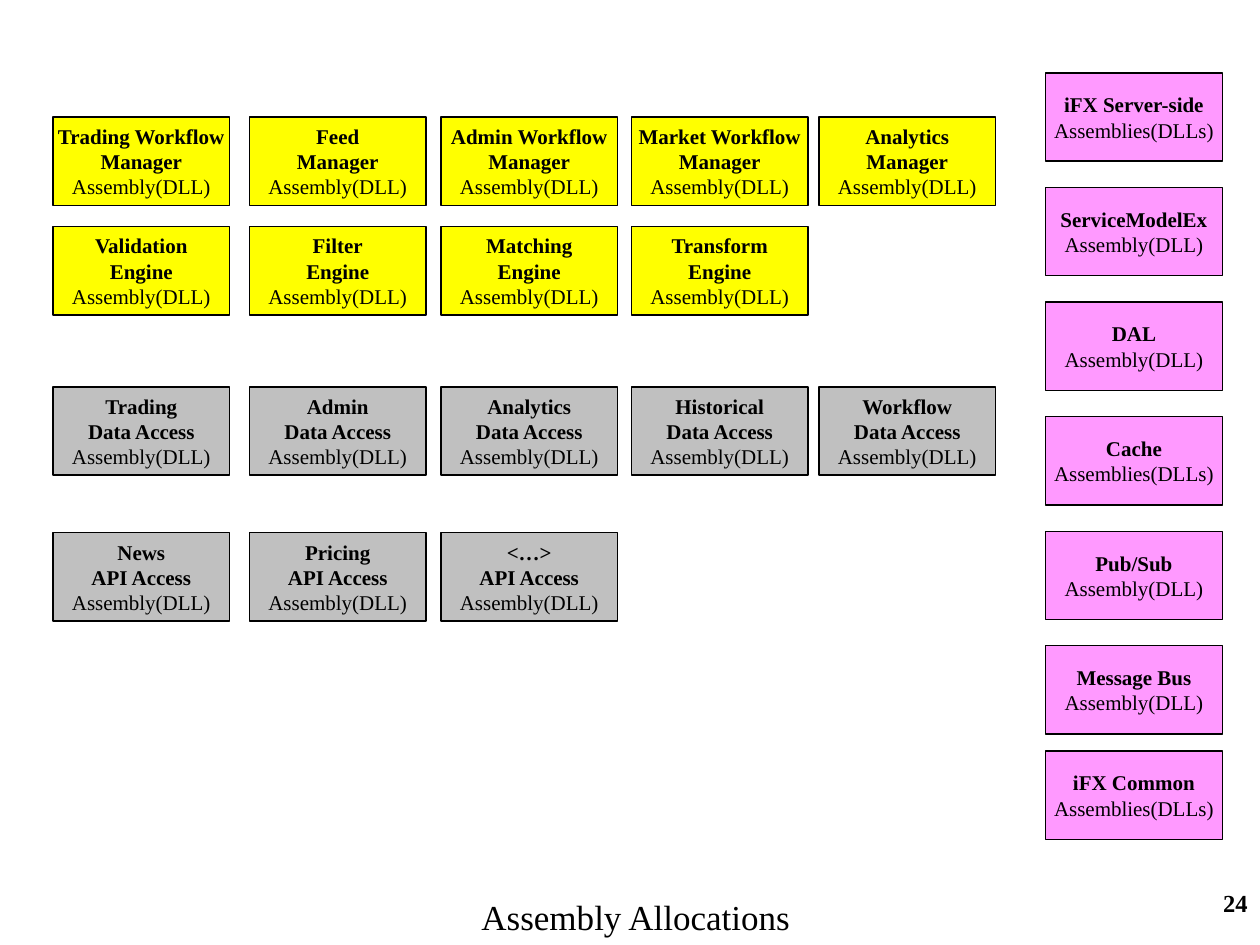
from dataclasses import dataclass

from pptx import Presentation
from pptx.dml.color import RGBColor
from pptx.enum.shapes import MSO_SHAPE
from pptx.enum.text import MSO_ANCHOR, MSO_AUTO_SIZE, PP_ALIGN
from pptx.util import Cm, Pt

COLORS = {"yellow": "FFFF00", "gray": "C0C0C0", "pink": "FF99FF", "black": "000000"}
FONT = "Times New Roman"
BOX_W, BOX_H = 3.56, 1.78
COLUMNS = [1.07, 5.03, 8.89, 12.73, 16.51]
SIDE_LEFT, SIDE_TOP, SIDE_PITCH = 21.08, 1.47, 2.31
COMMON_TOP = 15.14
ONE, MANY = "Assembly(DLL)", "Assemblies(DLLs)"


@dataclass(frozen=True)
class Row:
    top: float
    color: str
    kind: str
    names: tuple[str, ...]


@dataclass(frozen=True)
class Component:
    name: str
    unit: str = ONE


ROWS = [
    Row(2.36, "yellow", "Manager",
        ("Trading Workflow", "Feed", "Admin Workflow", "Market Workflow", "Analytics")),
    Row(4.57, "yellow", "Engine", ("Validation", "Filter", "Matching", "Transform")),
    Row(7.8, "gray", "Data Access",
        ("Trading", "Admin", "Analytics", "Historical", "Workflow")),
    Row(10.74, "gray", "API Access", ("News", "Pricing", "<…>")),
]
SIDE = [
    Component("iFX Server-side", MANY),
    Component("ServiceModelEx"),
    Component("DAL"),
    Component("Cache", MANY),
    Component("Pub/Sub"),
    Component("Message Bus"),
]


def rgb(name: str) -> RGBColor:
    return RGBColor.from_string(COLORS[name])


def add_line(p, text: str, size: float, bold: bool, align) -> None:
    p.alignment = align
    r = p.add_run()
    r.text = text
    for key, value in {"name": FONT, "size": Pt(size), "bold": bold}.items():
        setattr(r.font, key, value)
    r.font.color.rgb = rgb("black")


def add_box(s, left: float, top: float, color: str, heading: list[str], unit: str) -> None:
    """Draw one assembly: bold heading lines above a plain unit line."""
    sp = s.shapes.add_shape(MSO_SHAPE.RECTANGLE, Cm(left), Cm(top), Cm(BOX_W), Cm(BOX_H))
    sp.shadow.inherit = False
    sp.fill.solid()
    sp.fill.fore_color.rgb = rgb(color)
    sp.line.color.rgb = rgb("black")
    sp.line.width = Pt(0.75)
    tf = sp.text_frame
    tf.word_wrap = False
    tf.vertical_anchor = MSO_ANCHOR.MIDDLE
    for i, text in enumerate([*heading, unit]):
        p = tf.paragraphs[0] if i == 0 else tf.add_paragraph()
        add_line(p, text, 12, i < len(heading), PP_ALIGN.CENTER)


def set_title(s, text: str) -> None:
    sp = s.shapes.title
    place = {"left": 9.45, "top": 17.93, "width": 6.78, "height": 1.11}
    for key, value in place.items():
        setattr(sp, key, Cm(value))
    tf = sp.text_frame
    frame = {"word_wrap": False, "auto_size": MSO_AUTO_SIZE.NONE,
             "vertical_anchor": MSO_ANCHOR.TOP}
    for key, value in frame.items():
        setattr(tf, key, value)
    add_line(tf.paragraphs[0], text, 20, False, PP_ALIGN.LEFT)


def add_page_number(s, text: str) -> None:
    sp = s.shapes.add_textbox(Cm(20.12), Cm(17.78), Cm(5.28), Cm(1.27))
    sp.text_frame.word_wrap = True
    add_line(sp.text_frame.paragraphs[0], text, 14, True, PP_ALIGN.RIGHT)


def main() -> None:
    prs = Presentation()
    prs.slide_width, prs.slide_height = Cm(25.4), Cm(19.05)
    s = prs.slides.add_slide(prs.slide_layouts[5])
    set_title(s, "Assembly Allocations")
    add_page_number(s, "24")
    for row in ROWS:
        for left, name in zip(COLUMNS, row.names):
            add_box(s, left, row.top, row.color, [name, row.kind], ONE)
    for i, item in enumerate(SIDE):
        add_box(s, SIDE_LEFT, SIDE_TOP + i * SIDE_PITCH, "pink", [item.name], item.unit)
    add_box(s, SIDE_LEFT, COMMON_TOP, "pink", ["iFX Common"], MANY)
    prs.save("out.pptx")


if __name__ == "__main__":
    main()
